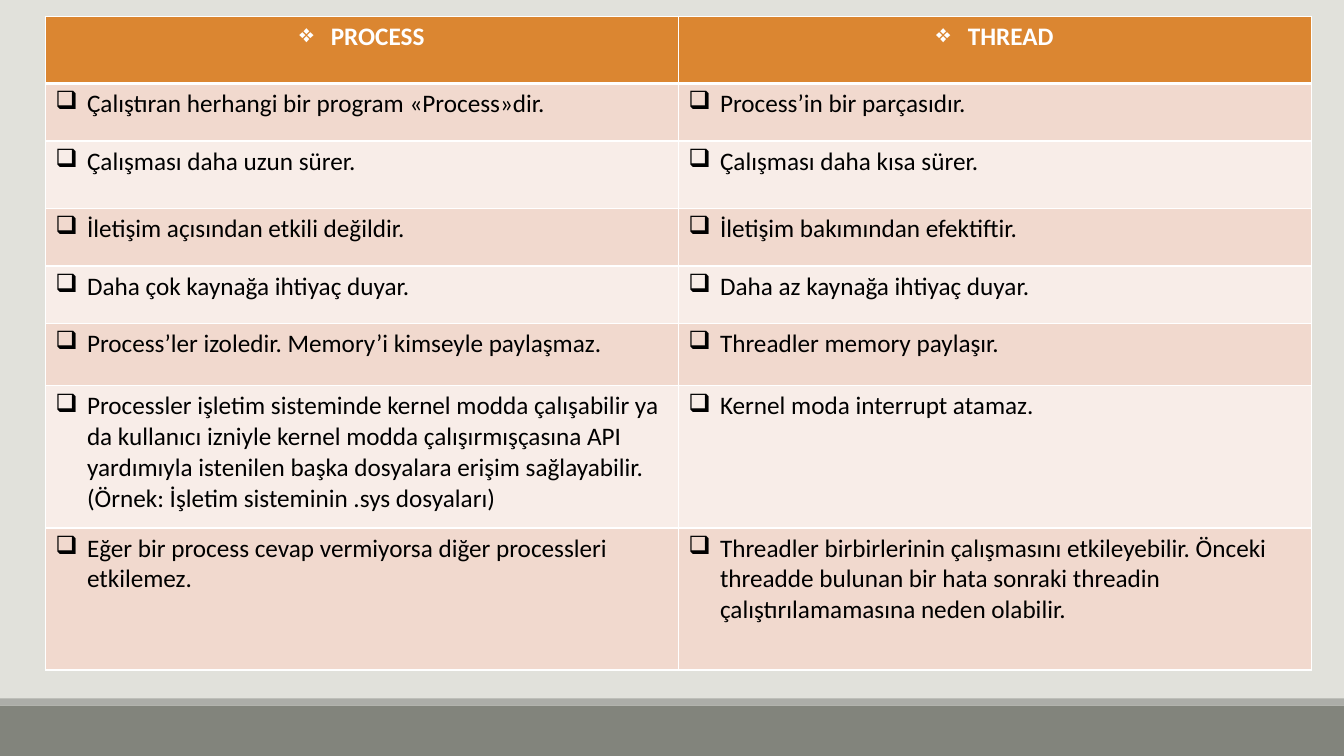
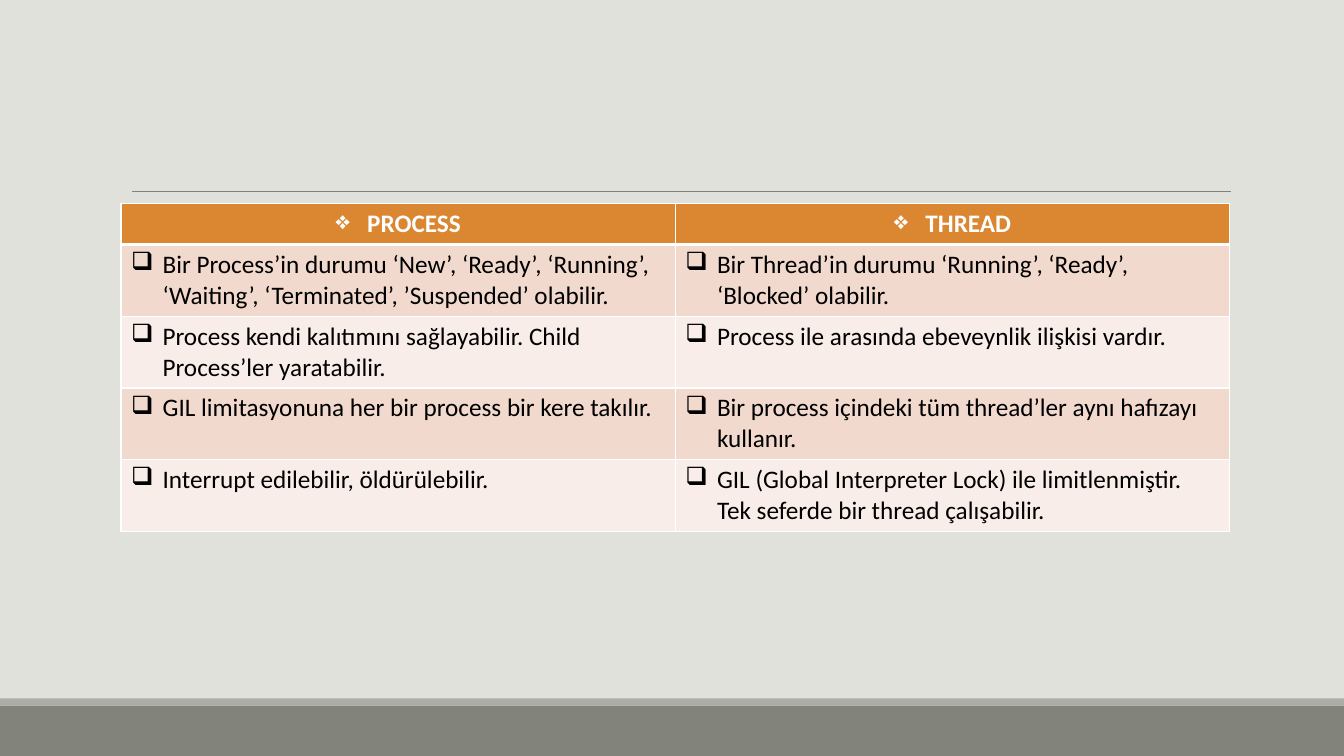
import lxml.etree
import pptx
import pptx.dml.color
import pptx.enum.shapes
import pptx.enum.text
import pptx.oxml.ns
import pptx.util

COLORS = {
    "background": "E1E1DB", "footer": "82847C", "strip": "ACADA8", "rule": "808080",
    "header": "DB8631", "odd_row": "F1D9CE", "even_row": "F8EDE8",
    "white": "FFFFFF", "black": "000000",
}
FONT = "Calibri"
TEXT_SIZE = 18
CELL = pptx.util.Inches(1) // 6  # the slide is a grid of 80 columns by 45 rows
COLUMNS, ROWS = 80, 45
BULLET_INDENT = 1.88
HEADINGS = ("PROCESS", "THREAD")


def grid(cells):
    return pptx.util.Emu(round(cells * CELL))


def color(name):
    return pptx.dml.color.RGBColor.from_string(COLORS[name])


def element(parent, tag, **attributes):
    return lxml.etree.SubElement(parent, pptx.oxml.ns.qn(tag), attributes)


class Deck:
    """Holds the shared style and the current slide."""

    def __init__(self):
        self.presentation = pptx.Presentation()
        self.presentation.slide_width = grid(COLUMNS)
        self.presentation.slide_height = grid(ROWS)
        fill = self.presentation.slide_master.background.fill
        fill.solid()
        fill.fore_color.rgb = color("background")
        self.slide = None

    def add_slide(self):
        blank_layout = self.presentation.slide_layouts[6]
        self.slide = self.presentation.slides.add_slide(blank_layout)
        self.band(42, 3, "footer")
        self.band(41.58, 0.42, "strip")

    def band(self, top, height, fill_name):
        shape = self.slide.shapes.add_shape(
            pptx.enum.shapes.MSO_SHAPE.RECTANGLE,
            0, grid(top), grid(COLUMNS), grid(height))
        shape.shadow.inherit = False
        shape.fill.solid()
        shape.fill.fore_color.rgb = color(fill_name)
        shape.line.fill.background()

    def rule(self, left, right, top):
        connector = self.slide.shapes.add_connector(
            pptx.enum.shapes.MSO_CONNECTOR.STRAIGHT,
            grid(left), grid(top), grid(right), grid(top))
        connector.line.color.rgb = color("rule")
        connector.line.width = pptx.util.Pt(0.5)
        element(connector._element.spPr, "a:effectLst")

    def table(self, left, top, width, heights, body):
        rows = [HEADINGS, *body]
        table = self.slide.shapes.add_table(
            len(rows), len(HEADINGS), grid(left), grid(top),
            grid(width), grid(sum(heights))).table
        table.horz_banding = False
        for column in table.columns:
            column.width = grid(width / len(HEADINGS))
        for row_index, (texts, height) in enumerate(zip(rows, heights)):
            table.rows[row_index].height = grid(height)
            for column_index, text in enumerate(texts):
                self.table_cell(table.cell(row_index, column_index), text, row_index)

    def table_cell(self, cell, text, row_index):
        is_header = row_index == 0
        fill_name = "header" if is_header else ("even_row", "odd_row")[row_index % 2]
        cell.fill.solid()
        cell.fill.fore_color.rgb = color(fill_name)
        self.borders(cell, top=3 if row_index == 1 else 1, bottom=3 if is_header else 1)

        paragraph = cell.text_frame.paragraphs[0]
        if is_header:
            paragraph.alignment = pptx.enum.text.PP_ALIGN.CENTER
        self.bullet(paragraph, "❖" if is_header else "❑")
        run = paragraph.add_run()
        run.text = text
        run.font.name = FONT
        run.font.size = pptx.util.Pt(TEXT_SIZE)
        run.font.bold = is_header
        run.font.color.rgb = color("white" if is_header else "black")

    def borders(self, cell, top, bottom):
        properties = cell._tc.get_or_add_tcPr()
        sides = (("a:lnL", 1), ("a:lnR", 1), ("a:lnT", top), ("a:lnB", bottom))
        for position, (tag, points) in enumerate(sides):
            line = element(properties, tag, w=str(pptx.util.Pt(points)))
            element(element(line, "a:solidFill"), "a:srgbClr", val=COLORS["white"])
            properties.insert(position, line)  # borders come before the fill

    def bullet(self, paragraph, character):
        properties = paragraph._p.get_or_add_pPr()
        properties.set("marL", str(grid(BULLET_INDENT)))
        properties.set("indent", str(-grid(BULLET_INDENT)))
        element(properties, "a:buChar", char=character)


def main():
    deck = Deck()

    # General comparison
    deck.add_slide()
    deck.table(2.7, 0.96, 75.36, (4.02, 3.42, 4.02, 3.42, 3.42, 3.72, 8.46, 8.46), [
        ("Çalıştıran herhangi bir program «Process»dir.", "Process’in bir parçasıdır."),
        ("Çalışması daha uzun sürer.", "Çalışması daha kısa sürer."),
        ("İletişim açısından etkili değildir.", "İletişim bakımından efektiftir."),
        ("Daha çok kaynağa ihtiyaç duyar.", "Daha az kaynağa ihtiyaç duyar."),
        ("Process’ler izoledir. Memory’i kimseyle paylaşmaz.",
         "Threadler memory paylaşır."),
        ("Processler işletim sisteminde kernel modda çalışabilir ya da kullanıcı "
         "izniyle kernel modda çalışırmışçasına API yardımıyla istenilen başka "
         "dosyalara erişim sağlayabilir. (Örnek: İşletim sisteminin .sys dosyaları)",
         "Kernel moda interrupt atamaz."),
        ("Eğer bir process cevap vermiyorsa diğer processleri etkilemez.",
         "Threadler birbirlerinin çalışmasını etkileyebilir. Önceki threadde bulunan "
         "bir hata sonraki threadin çalıştırılamamasına neden olabilir."),
    ])

    # States, inheritance and the GIL
    deck.add_slide()
    deck.rule(7.86, 73.26, 11.4)
    deck.table(7.2, 12.12, 66, (2.43,) + (4.27,) * 4, [
        ("Bir Process’in durumu ‘New’, ‘Ready’, ‘Running’, ‘Waiting’, ‘Terminated’, "
         "’Suspended’ olabilir.",
         "Bir Thread’in durumu ‘Running’, ‘Ready’, ‘Blocked’ olabilir."),
        ("Process kendi kalıtımını sağlayabilir. Child Process’ler yaratabilir.",
         "Process ile arasında ebeveynlik ilişkisi vardır."),
        ("GIL limitasyonuna her bir process bir kere takılır.",
         "Bir process içindeki tüm thread’ler aynı hafızayı kullanır."),
        ("Interrupt edilebilir, öldürülebilir.",
         "GIL (Global Interpreter Lock) ile limitlenmiştir. Tek seferde bir thread "
         "çalışabilir."),
    ])

    deck.presentation.save("out.pptx")


if __name__ == "__main__":
    main()
